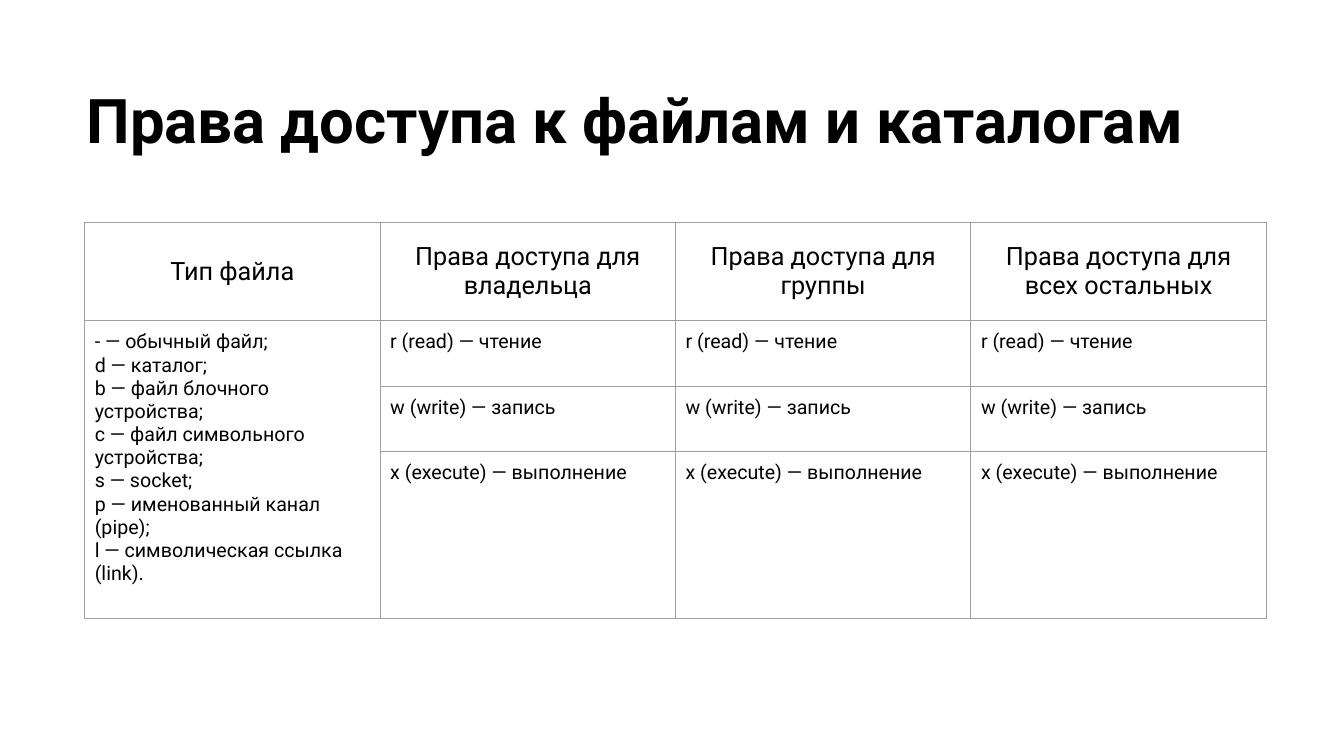
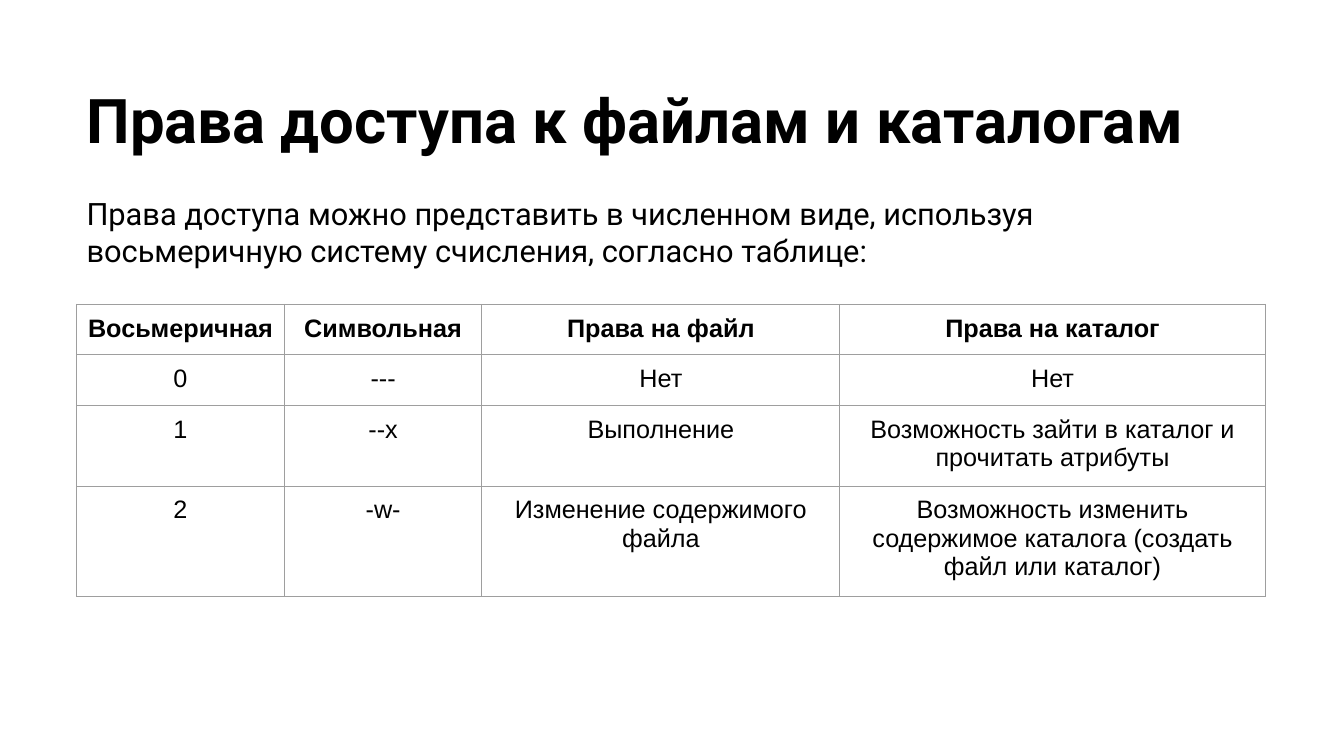
"""Two slides on file and directory access rights, each with a table."""
import pptx
import pptx.util
import pptx.dml.color
import pptx.enum.text
import pptx.oxml
import pptx.oxml.ns

Inches, Pt = pptx.util.Inches, pptx.util.Pt
PP_ALIGN, MSO_ANCHOR = pptx.enum.text.PP_ALIGN, pptx.enum.text.MSO_ANCHOR

INK, GRID = "000000", "9E9E9E"
LEFT, TOP, WIDTH = 0.76, 0.76, 11.79
PAD = 0.1
TITLE = "Права доступа к файлам и каталогам"
INTRO = ("Права доступа можно представить в численном виде, используя "
         "восьмеричную систему счисления, согласно таблице:")

FILE_TYPES = [
    "- — обычный файл;",
    "d — каталог;",
    "b — файл блочного устройства;",
    "c — файл символьного устройства;",
    "s — socket;",
    "p — именованный канал (pipe);",
    "l — символическая ссылка (link).",
]
AUDIENCES = ["владельца", "группы", "всех остальных"]
RIGHTS = ["r (read) — чтение", "w (write) — запись", "x (execute) — выполнение"]
RIGHTS_ROWS = [["Тип файла"] + [f"Права доступа для {a}" for a in AUDIENCES]]
RIGHTS_ROWS += [["" if i else "\n".join(FILE_TYPES)] + [right] * len(AUDIENCES)
                for i, right in enumerate(RIGHTS)]

OCTAL_ROWS = [
    ["Восьмеричная", "Символьная", "Права на файл", "Права на каталог"],
    ["0", "---", "Нет", "Нет"],
    ["1", "--x", "Выполнение", "Возможность зайти в каталог и прочитать атрибуты"],
    ["2", "-w-", "Изменение содержимого файла",
     "Возможность изменить содержимое каталога (создать файл или каталог)"],
]


def rgb(color):
    return pptx.dml.color.RGBColor.from_string(color)


def style(tf, size, font="Roboto", bold=False, align=PP_ALIGN.LEFT):
    for p in tf.paragraphs:
        p.alignment = align
        p.font.size, p.font.name, p.font.bold = Pt(size), font, bold
        p.font.color.rgb = rgb(INK)


def add_text(s, text, top, height, size, bold=False):
    box = s.shapes.add_textbox(Inches(LEFT), Inches(top), Inches(WIDTH), Inches(height))
    tf = box.text_frame
    tf.word_wrap = True
    tf.text = text
    style(tf, size, bold=bold)


def add_borders(cell):
    tcPr = cell._tc.get_or_add_tcPr()
    for i, side in enumerate(("lnL", "lnR", "lnT", "lnB")):
        tcPr.insert(i, pptx.oxml.parse_xml(
            f'<a:{side} {pptx.oxml.ns.nsdecls("a")} w="{Pt(0.75)}"><a:solidFill>'
            f'<a:srgbClr val="{GRID}"/></a:solidFill></a:{side}>'))


def add_table(s, rows, left, top, widths, heights, header, body):
    table = s.shapes.add_table(len(rows), len(widths), Inches(left), Inches(top),
                               Inches(sum(widths)), Inches(sum(heights))).table
    table.first_row = table.horz_banding = False
    for col, width in zip(table.columns, widths):
        col.width = Inches(width)
    for row, height in zip(table.rows, heights):
        row.height = Inches(height)
    for r, row in enumerate(rows):
        for c, text in enumerate(row):
            cell = table.cell(r, c)
            cell.text = text
            cell.margin_left = cell.margin_right = Inches(PAD)
            cell.margin_top = cell.margin_bottom = Inches(PAD)
            cell.fill.background()
            add_borders(cell)
            style(cell.text_frame, **(body if r else header))
    return table


def add_slide(prs):
    s = prs.slides.add_slide(prs.slide_layouts[6])
    add_text(s, TITLE, TOP, 1.6, 44, bold=True)
    return s


def rights_slide(prs):
    s = add_slide(prs)
    table = add_table(s, RIGHTS_ROWS, 0.84, 2.21, [2.93] * 4, [0.97, 0.65, 0.65, 1.66],
                      header=dict(size=18, align=PP_ALIGN.CENTER), body=dict(size=14))
    for cell in table.rows[0].cells:
        cell.vertical_anchor = MSO_ANCHOR.MIDDLE
    table.cell(1, 0).merge(table.cell(len(RIGHTS), 0))


def octal_slide(prs):
    s = add_slide(prs)
    add_text(s, INTRO, 1.88, 1, 22)
    body = dict(size=18, font="Arial", align=PP_ALIGN.CENTER)
    add_table(s, OCTAL_ROWS, LEFT, 3.02, [2.06, 1.96, 3.55, 4.22], [0.48, 0.48, 0.76, 1.04],
              header=dict(body, bold=True), body=body)


def main():
    prs = pptx.Presentation()
    prs.slide_width, prs.slide_height = Inches(13.33), Inches(7.5)
    rights_slide(prs)
    octal_slide(prs)
    prs.save("out.pptx")


if __name__ == "__main__":
    main()
